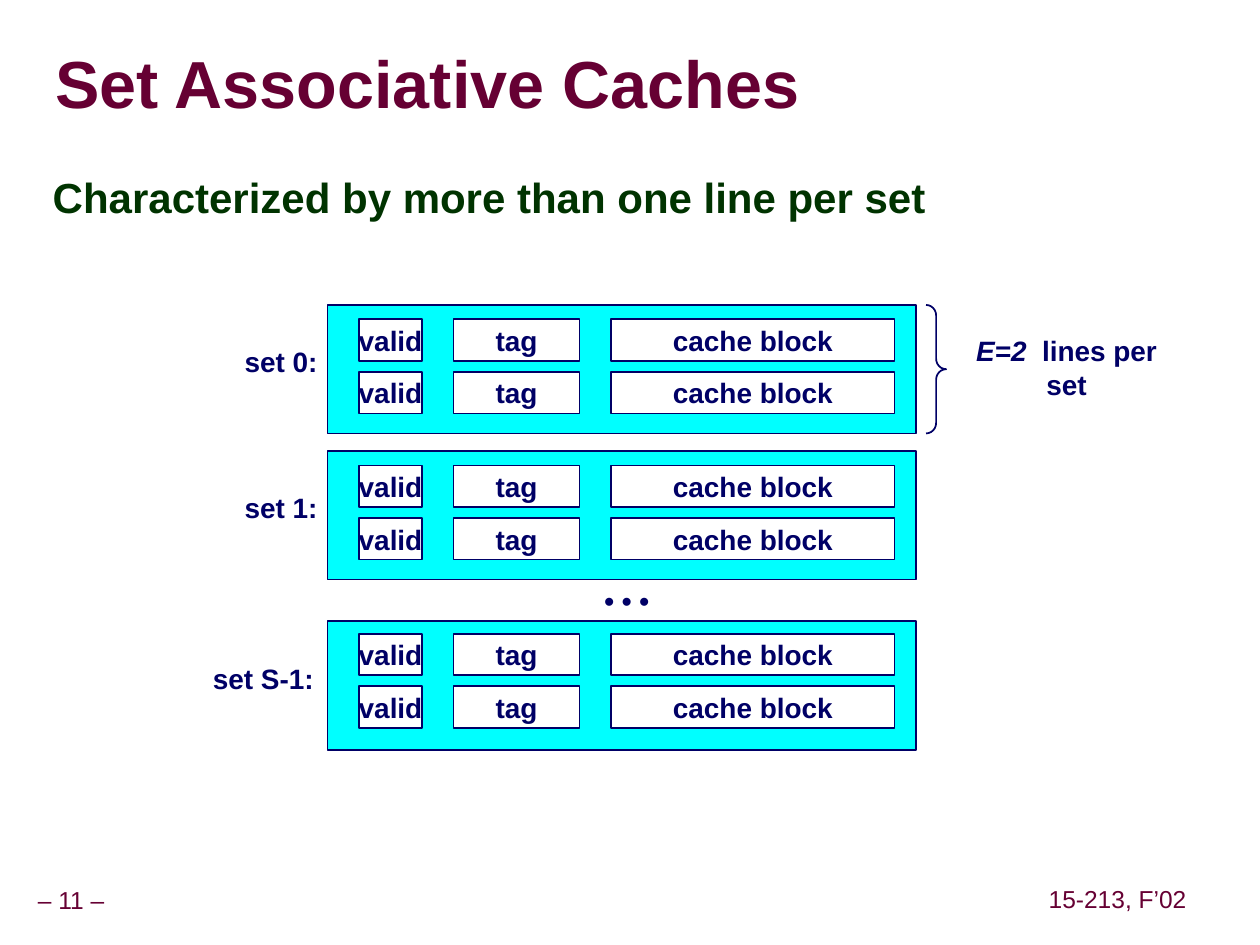
from dataclasses import dataclass

from lxml.etree import SubElement
from pptx import Presentation
from pptx.dml.color import RGBColor
from pptx.enum.shapes import MSO_SHAPE as Shape
from pptx.enum.text import MSO_ANCHOR as Anchor, PP_ALIGN as Align
from pptx.oxml.ns import qn
from pptx.util import Inches, Pt

COLUMNS, ROWS = 100, 75


@dataclass(frozen=True)
class Theme:
    font: str = "Arial"
    plum: str = "660033"
    green: str = "003300"
    navy: str = "000066"
    cyan: str = "00FFFF"
    white: str = "FFFFFF"
    shadow: str = "969696"
    title: int = 38
    heading: int = 24
    label: int = 16
    footer: int = 14
    line: int = 1


def write(frame, spans, *, font, size, color, bold=True, align=Align.CENTER,
          anchor=Anchor.MIDDLE, wrap=False, spacing=1.0, margins=(0.1, 0.05)):
    """Fill a text frame with one paragraph of (text, italic) spans."""
    frame.word_wrap = wrap
    frame.vertical_anchor = anchor
    frame.margin_left = frame.margin_right = Inches(margins[0])
    frame.margin_top = frame.margin_bottom = Inches(margins[1])
    para = frame.paragraphs[0]
    para.alignment = align
    para.line_spacing = spacing
    for text, italic in spans:
        span = para.add_run()
        span.text = text
        span.font.size = Pt(size)
        span.font.bold = bold
        span.font.italic = italic
        span.font.color.rgb = RGBColor.from_string(color)
        span.font.name = font
    return para


class SlideBuilder:
    """Draws on one slide; every place is (column, row, columns, rows)."""

    def __init__(self, deck, theme):
        self.theme = theme
        self.column = deck.slide_width / COLUMNS
        self.row = deck.slide_height / ROWS
        self.slide = deck.slides.add_slide(deck.slide_layouts[6])

    def place(self, left, top, width, height):
        return (round(left * self.column), round(top * self.row),
                round(width * self.column), round(height * self.row))

    def text(self, place, *spans, **style):
        box = self.slide.shapes.add_textbox(*self.place(*place))
        style = {"font": self.theme.font, "size": self.theme.label,
                 "color": self.theme.navy, **style}
        return write(box.text_frame, spans, **style)

    def title(self, place, text):
        para = self.text(place, (text, False), size=self.theme.title,
                         color=self.theme.plum, align=Align.LEFT, wrap=True,
                         spacing=0.87, margins=(0, 0))
        fill = para.runs[0].font._element.find(qn("a:solidFill"))
        effects = fill.getparent().makeelement(qn("a:effectLst"))
        fill.addnext(effects)
        shadow = SubElement(effects, qn("a:outerShdw"), dist="38100", dir="2700000")
        SubElement(shadow, qn("a:srgbClr"), val=self.theme.shadow)

    def footer(self, place, text):
        self.text(place, (text, False), size=self.theme.footer, bold=False,
                  color=self.theme.plum, spacing=0.9, margins=(0.05, 0.05))

    def shape(self, kind, place, fill=None):
        shape = self.slide.shapes.add_shape(kind, *self.place(*place))
        shape.shadow.inherit = False
        if fill:
            shape.fill.solid()
            shape.fill.fore_color.rgb = RGBColor.from_string(fill)
        else:
            shape.fill.background()
        shape.line.color.rgb = RGBColor.from_string(self.theme.navy)
        shape.line.width = Pt(self.theme.line)
        return shape

    def field(self, place, text):
        box = self.shape(Shape.RECTANGLE, place, self.theme.white)
        write(box.text_frame, [(text, False)], font=self.theme.font,
              size=self.theme.label, color=self.theme.navy)

    def brace(self, place):
        brace = self.shape(Shape.RIGHT_BRACE, place)
        brace.adjustments[0] = 0.52

    def cache_set(self, top, inset, label, label_left, label_width):
        """Draw a set of two cache lines with its label on the left."""
        self.shape(Shape.RECTANGLE, (26, top, 46.7, 10.2), self.theme.cyan)
        self.text((label_left, top + 2.65, label_width, 3.7), (label, False))
        fields = (("valid", 28.5, 5), ("tag", 36, 10), ("cache block", 48.5, 22.5))
        for line in range(2):
            for text, left, width in fields:
                self.field((left, top + inset + line * 4.17, width, 3.3), text)


def main():
    deck = Presentation()
    deck.slide_width, deck.slide_height = Inches(10), Inches(7.5)
    theme = Theme()
    page = SlideBuilder(deck, theme)

    page.footer((-0.9, 70, 13.1, 3.1), "– 11 –")
    page.footer((82.7, 69.9, 12, 3.1), "15-213, F’02")
    page.title((4.4, 2.7, 95.3, 8.5), "Set Associative Caches")
    page.text((3.2, 13.4, 90.9, 57.1),
              ("Characterized by more than one line per set", False),
              size=theme.heading, color=theme.green, align=Align.LEFT,
              anchor=Anchor.TOP, wrap=True, spacing=0.95)

    page.cache_set(24.2, 1.15, "set 0:", 18.4, 7.8)
    page.cache_set(35.8, 1.15, "set 1:", 18.4, 7.8)
    page.cache_set(49.3, 1, "set S-1:", 15.9, 10)
    page.text((46, 46, 7.5, 3.3), ("• • •", False))

    page.brace((73.5, 24.2, 1.6, 10.2))
    page.text((74.6, 27.3, 20.1, 3.7), ("E=2 ", True), (" lines per set", False))

    deck.save("out.pptx")


if __name__ == "__main__":
    main()
